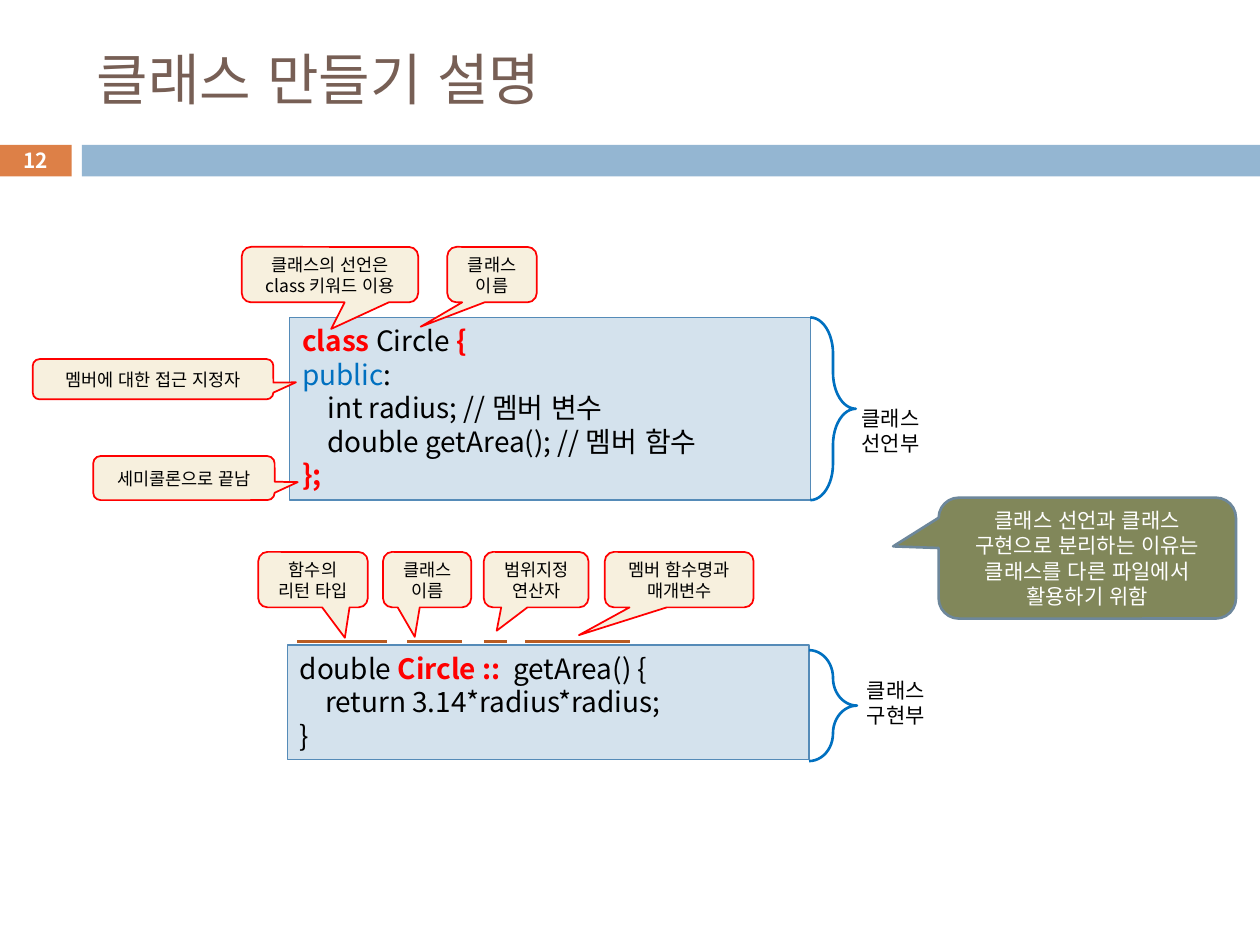
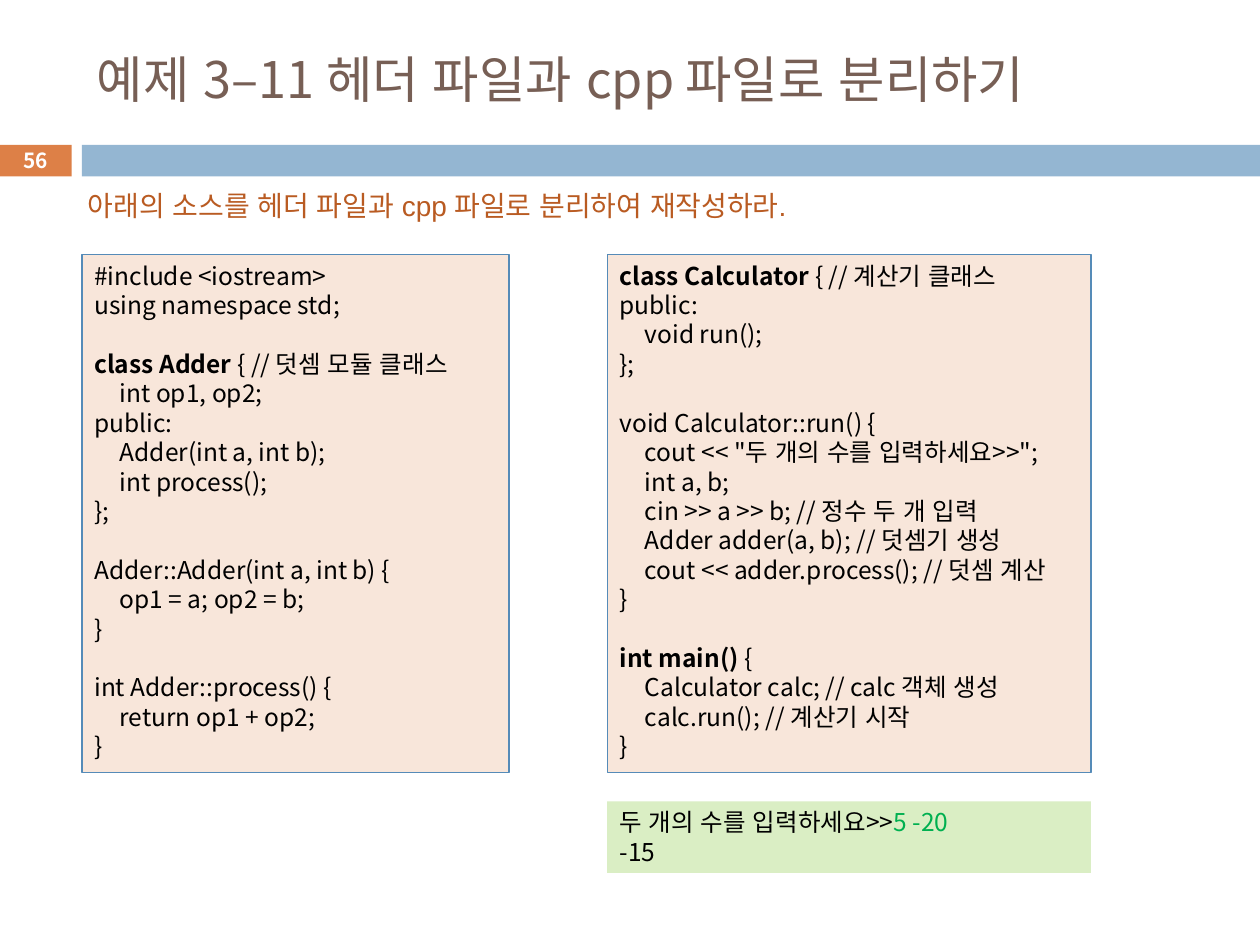
from dataclasses import dataclass

from lxml.etree import SubElement
from pptx import Presentation
from pptx.dml.color import RGBColor
from pptx.enum.lang import MSO_LANGUAGE_ID as Language
from pptx.enum.shapes import MSO_CONNECTOR as Connector, MSO_SHAPE as Preset
from pptx.enum.text import MSO_ANCHOR as Anchor, MSO_AUTO_SIZE as AutoSize, PP_ALIGN as Align
from pptx.oxml.ns import qn
from pptx.util import Pt


@dataclass(frozen=True)
class TextStyle:
    size: float
    color: str = "000000"
    font: str = "Noto Sans CJK KR"
    bold: bool = False
    align: Align = Align.LEFT
    anchor: Anchor = Anchor.TOP
    wrap: bool = True


@dataclass(frozen=True)
class Look:
    fill: str | None = None
    line: str | None = None
    width: float = 0.75


class Theme:
    east_asian_font = "Noto Sans CJK KR"
    line_height = 1.2
    tab = 14.5

    title = TextStyle(32, "775F55", anchor=Anchor.MIDDLE)
    long_title = TextStyle(28.8, "775F55", anchor=Anchor.MIDDLE)
    number = TextStyle(11.9, "FFFFFF", bold=True, align=Align.CENTER, anchor=Anchor.MIDDLE)
    task = TextStyle(16, "B95B22", font="Arial", wrap=False)
    code = TextStyle(16)
    small_code = TextStyle(14)
    note = TextStyle(10, align=Align.CENTER, anchor=Anchor.MIDDLE)
    reason = TextStyle(12, "FFFFFF", align=Align.CENTER, anchor=Anchor.MIDDLE)
    part_label = TextStyle(12, wrap=False)

    number_band = Look("DD8047")
    long_band = Look("94B6D2")
    class_panel = Look("D4E2ED", "558BB8")
    source_panel = Look("F8E6DA", "558BB8")
    output_panel = Look("DAEEC4")
    note_callout = Look("F7F0DE", "FF0000", 1)
    reason_callout = Look("81875A", "6D879B", 1.5)
    brace = Look(None, "0070C0", 1.5)
    underline = Look(None, "B95B22", 1.5)

    # Run variations: (bold, colour), None keeps the colour of the text style
    emphasis = {
        "plain": (False, None),
        "bold": (True, None),
        "key": (True, "FF0000"),
        "access": (False, "0070C0"),
        "input": (False, "00B050"),
    }


def set_values(target, values):
    for name, value in values.items():
        setattr(target, name, value)


def points(*lengths):
    return [Pt(length) for length in lengths]


def inside(box, left, top, width, height):
    """Turn a place relative to the box into a place on the slide."""
    return box[0] + left, box[1] + top, width, height


def set_line(line, look):
    line.color.rgb = RGBColor.from_string(look.line)
    line.width = Pt(look.width)


def add_run(paragraph, text, emphasis, style):
    bold, color = Theme.emphasis[emphasis]
    run = paragraph.add_run()
    run.text = text
    set_values(run.font, {
        "size": Pt(style.size),
        "bold": bold or style.bold,
        "name": style.font,
        "language_id": Language.KOREAN,
    })
    run.font.color.rgb = RGBColor.from_string(color or style.color)
    SubElement(run.font._element, qn("a:ea"), typeface=Theme.east_asian_font)


def add_tab_stop(paragraph):
    tabs = SubElement(paragraph._p.get_or_add_pPr(), qn("a:tabLst"))
    SubElement(tabs, qn("a:tab"), pos=str(Pt(Theme.tab)), algn="l")


def write(shape, lines, style):
    """Each line is a string or a list of (text, emphasis); None leaves a line's gap."""
    frame = shape.text_frame
    set_values(frame, {
        "word_wrap": style.wrap,
        "auto_size": AutoSize.NONE,
        "vertical_anchor": style.anchor,
    })
    spacing = Pt(style.size * Theme.line_height)
    paragraph, gap = frame.paragraphs[0], Pt(0)
    for line in lines:
        if line is None:
            gap = spacing
            continue
        if paragraph.runs:
            paragraph = frame.add_paragraph()
        runs = [(line, "plain")] if isinstance(line, str) else line
        if runs[0][0].startswith("\t"):
            add_tab_stop(paragraph)
        set_values(paragraph, {
            "alignment": style.align, "line_spacing": spacing, "space_before": gap,
        })
        for text, emphasis in runs:
            add_run(paragraph, text, emphasis, style)
        gap = Pt(0)


def add_preset(slide, preset, box, look, adjustments=()):
    shape = slide.shapes.add_shape(preset, *points(*box))
    shape.shadow.inherit = False
    for index, value in enumerate(adjustments):
        shape.adjustments[index] = value
    if look.fill:
        shape.fill.solid()
        shape.fill.fore_color.rgb = RGBColor.from_string(look.fill)
    else:
        shape.fill.background()
    if look.line:
        set_line(shape.line, look)
    else:
        shape.line.fill.background()
    return shape


def add_panel(slide, box, look, lines, style):
    write(add_preset(slide, Preset.RECTANGLE, box, look), lines, style)


def add_callout(slide, box, tip, lines, look=Theme.note_callout, style=Theme.note):
    shape = add_preset(slide, Preset.ROUNDED_RECTANGULAR_CALLOUT, box, look, (*tip, 0.167))
    write(shape, lines, style)


def add_text(slide, box, lines, style):
    write(slide.shapes.add_textbox(*points(*box)), lines, style)


def add_underline(slide, left, right, top):
    line = slide.shapes.add_connector(Connector.STRAIGHT, *points(left, top, right, top))
    set_line(line.line, Theme.underline)
    SubElement(line._element.spPr, qn("a:effectLst"))


def add_titled_slide(presentation, title, number, style):
    slide = presentation.slides.add_slide(presentation.slide_layouts[5])
    band_top, band_height = 82.8, 18
    add_preset(slide, Preset.RECTANGLE, (0, band_top, 41, band_height), Theme.number_band)
    add_preset(slide, Preset.RECTANGLE, (46.8, band_top, 673.2, band_height), Theme.long_band)
    place = dict(zip(("left", "top", "width", "height"), points(48.2, 18, 642.2, 53.3)))
    set_values(slide.shapes.title, place)
    write(slide.shapes.title, [title], style)
    add_text(slide, (0, 81.6, 41, 19.4), [number], Theme.number)
    return slide


def add_brace(slide, box, bend, label_box, label):
    add_preset(slide, Preset.RIGHT_BRACE, box, Theme.brace, (bend, 0.5))
    add_text(slide, label_box, label, Theme.part_label)


def add_declaration(slide, box):
    add_panel(slide, box, Theme.class_panel, [
        [("class", "key"), (" Circle ", "plain"), ("{", "key")],
        [("public", "access"), (":", "plain")],
        "\tint radius; // 멤버 변수",
        "\tdouble getArea(); // 멤버 함수",
        [("};", "key")],
    ], Theme.code)
    for place, tip, text in (
        ((-27.4, -40.3, 100.8, 31.7), (0.007, 0.979), "클래스의 선언은 class 키워드 이용"),
        ((90, -40.3, 51.1, 31.7), (-0.798, 0.94), "클래스 이름"),
        ((-146.9, 23.8, 137.5, 23), (0.594, 0.078), "멤버에 대한 접근 지정자"),
        ((-112.3, 79.2, 103.7, 25.2), (0.627, 0.092), "세미콜론으로 끝남"),
    ):
        add_callout(slide, inside(box, *place), tip, [text])
    add_brace(slide, inside(box, box[2], 0, 26, box[3]), 0.797,
              inside(box, 319.7, 46.8, 51, 36), ["클래스", "선언부"])


def add_implementation(slide, box):
    add_panel(slide, box, Theme.class_panel, [
        [("double ", "plain"), ("Circle ::  ", "key"), ("getArea() {", "plain")],
        "\treturn 3.14*radius*radius;",
        "}",
    ], Theme.code)
    for start, end in ((5.8, 56.9), (68.4, 100.1), (112.3, 125.3), (136.1, 195.8)):
        add_underline(slide, box[0] + start, box[0] + end, box[1] - 2.1)
    for left, width, tip, lines in (
        (-16.6, 62.6, (0.291, 1.048), ["함수의 리턴 타입"]),
        (54.7, 50.4, (-0.14, 1.032), ["클래스", "이름"]),
        (112.3, 59.8, (-0.377, 0.922), ["범위지정연산자"]),
        (181.4, 85, (-0.674, 1), ["멤버 함수명과 매개변수"]),
    ):
        add_callout(slide, inside(box, left, -53.2, width, 31.7), tip, lines)
    add_brace(slide, inside(box, box[2], 2.9, 27.4, 63.4), 0.712,
              inside(box, 324, 15.1, 51, 36), ["클래스", "구현부"])


def add_class_slide(presentation):
    slide = add_titled_slide(presentation, "클래스 만들기 설명", "12", Theme.title)
    add_declaration(slide, (165.6, 181.4, 297.4, 104.4))
    add_implementation(slide, (164.2, 368.6, 298.1, 65.5))
    add_callout(
        slide, (536.4, 284.4, 169.9, 69.1), (-0.653, -0.097),
        ["클래스 선언과 클래스 구현으로 분리하는 이유는 클래스를 다른 파일에서 활용하기 위함"],
        Theme.reason_callout, Theme.reason)


ADDER_SOURCE = [
    "#include <iostream>",
    "using namespace std;",
    None,
    [("class Adder ", "bold"), ("{ // 덧셈 모듈 클래스", "plain")],
    "\tint op1, op2;",
    "public:",
    "\tAdder(int a, int b);",
    "\tint process();",
    "};",
    None,
    "Adder::Adder(int a, int b) {",
    "\top1 = a; op2 = b;",
    "}",
    None,
    "int Adder::process() {",
    "\treturn op1 + op2;",
    "}",
]

CALCULATOR_SOURCE = [
    [("class Calculator ", "bold"), ("{ // 계산기 클래스", "plain")],
    "public:",
    "\tvoid run();",
    "};",
    None,
    "void Calculator::run() {",
    "\tcout << \"두 개의 수를 입력하세요>>\";",
    "\tint a, b;",
    "\tcin >> a >> b; // 정수 두 개 입력",
    "\tAdder adder(a, b); // 덧셈기 생성",
    "\tcout << adder.process(); // 덧셈 계산",
    "}",
    None,
    [("int main() ", "bold"), ("{", "plain")],
    "\tCalculator calc; // calc 객체 생성",
    "\tcalc.run(); // 계산기 시작",
    "}",
]

PROGRAM_OUTPUT = [[("두 개의 수를 입력하세요>>", "plain"), ("5 -20", "input")], "-15"]


def add_example_slide(presentation):
    slide = add_titled_slide(
        presentation, "예제 3–11 헤더 파일과 cpp 파일로 분리하기", "56", Theme.long_title)
    add_text(slide, (43.2, 104.4, 456.5, 26.6),
             ["아래의 소스를 헤더 파일과 cpp 파일로 분리하여 재작성하라."], Theme.task)
    for box, look, lines in (
        ((46.8, 145.4, 244.1, 295.9), Theme.source_panel, ADDER_SOURCE),
        ((347, 145.4, 276.5, 295.9), Theme.source_panel, CALCULATOR_SOURCE),
        ((347, 457.9, 276.5, 41), Theme.output_panel, PROGRAM_OUTPUT),
    ):
        add_panel(slide, box, look, lines, Theme.small_code)


def main():
    presentation = Presentation()
    set_values(presentation, {"slide_width": Pt(720), "slide_height": Pt(540)})
    add_class_slide(presentation)
    add_example_slide(presentation)
    presentation.save("out.pptx")


if __name__ == "__main__":
    main()
